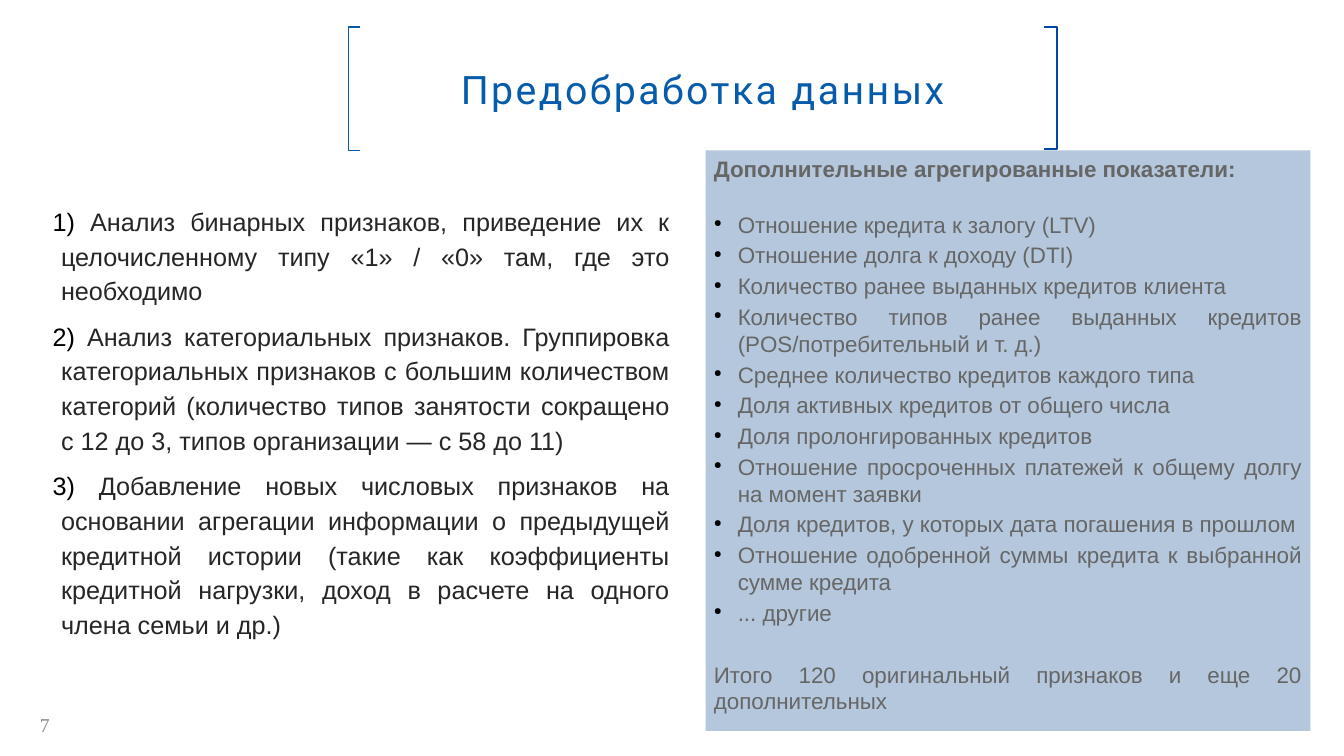
from dataclasses import dataclass

from lxml.etree import SubElement
from pptx import Presentation
from pptx.dml.color import RGBColor
from pptx.enum.text import MSO_ANCHOR as Anchor, PP_ALIGN as Align
from pptx.oxml.ns import qn
from pptx.util import Pt

BLUE, WHITE, BLACK = "065CAB", "FFFFFF", "000000"


@dataclass
class Face:
    name: str
    size: float
    color: str
    bold: bool = False


@dataclass
class Item:
    text: str
    mark: str = ""
    before: float = 0
    after: float = 0
    bold: bool = False


@dataclass
class Bracket:
    x: float
    arm: float
    top: float
    end: float
    color: str


def tint(color, code: str) -> None:
    color.rgb = RGBColor.from_string(code)


def fill(part, code: str) -> None:
    """Give a shape or a line a solid fill."""
    part.fill.solid()
    tint(part.fill.fore_color, code)


def style(para, face: Face) -> None:
    font = para.font
    font.name, font.size, font.bold = face.name, Pt(face.size), face.bold
    tint(font.color, face.color)


def add_mark(para, mark: str, hang: float) -> None:
    """Hang a black number ("1)") or a small black dot before the text."""
    props = para._p.get_or_add_pPr()
    props.set("marL", str(Pt(hang)))
    props.set("indent", str(-Pt(hang)))
    color = SubElement(props, qn("a:buClr"))
    SubElement(color, qn("a:srgbClr"), val=BLACK)
    if mark == "1)":
        SubElement(props, qn("a:buFont"), typeface="Arial")
        SubElement(props, qn("a:buAutoNum"), type="arabicParenR")
    else:
        SubElement(props, qn("a:buSzPct"), val="45000")
        SubElement(props, qn("a:buChar"), char=mark)


def add_box(slide, left: float, top: float, width: float, height: float,
            side: float, head: float):
    """Add a wrapping text box with side and top insets."""
    box = slide.shapes.add_textbox(Pt(left), Pt(top), Pt(width), Pt(height))
    frame = box.text_frame
    frame.word_wrap = True
    frame.margin_left = frame.margin_right = Pt(side)
    frame.margin_top = Pt(head)
    return box


def write(frame, items: list[Item], face: Face, hang: float,
          space: float = 1) -> None:
    for num, item in enumerate(items):
        para = frame.add_paragraph() if num else frame.paragraphs[0]
        para.text = item.text
        if item.mark:
            add_mark(para, item.mark, hang)
        para.alignment = Align.LEFT if item.bold else Align.JUSTIFY
        para.line_spacing = space
        para.space_before, para.space_after = Pt(item.before), Pt(item.after)
        style(para, Face(face.name, face.size, face.color, item.bold))


def add_bracket(slide, mark: Bracket) -> None:
    tip = mark.x + mark.arm
    pen = slide.shapes.build_freeform(Pt(tip), Pt(mark.top), 1.0)
    pen.add_line_segments(
        [(Pt(mark.x), Pt(mark.top)), (Pt(mark.x), Pt(mark.end)),
         (Pt(tip), Pt(mark.end))], close=False)
    shape = pen.convert_to_shape()
    shape.shadow.inherit = False
    shape.fill.background()
    fill(shape.line, mark.color)
    shape.line.width = Pt(1.3)


def add_title(slide, text: str) -> None:
    title = slide.shapes.title
    title.left, title.top = Pt(249), Pt(19.5)
    title.width, title.height = Pt(506), Pt(88)
    fill(title, WHITE)
    fill(title.line, WHITE)
    title.line.width = Pt(2)
    frame = title.text_frame
    frame.text = text
    frame.vertical_anchor = Anchor.MIDDLE
    para = frame.paragraphs[0]
    para.alignment = Align.CENTER
    style(para, Face("Roboto", 28, BLUE))
    para.runs[0]._r.get_or_add_rPr().set("spc", "180")


STEPS = [
    " Анализ бинарных признаков, приведение их к целочисленному типу "
    "«1» / «0» там, где это необходимо",
    " Анализ категориальных признаков. Группировка категориальных признаков "
    "с большим количеством категорий (количество типов занятости сокращено "
    "с 12 до 3, типов организации — с 58 до 11)",
    " Добавление новых числовых признаков на основании агрегации информации "
    "о предыдущей кредитной истории (такие как коэффициенты кредитной "
    "нагрузки, доход в расчете на одного члена семьи и др.)",
]
RATES = [
    "Отношение кредита к залогу (LTV)",
    "Отношение долга к доходу (DTI)",
    "Количество ранее выданных кредитов клиента",
    "Количество типов ранее выданных кредитов (POS/потребительный и т. д.)",
    "Среднее количество кредитов каждого типа",
    "Доля активных кредитов от общего числа",
    "Доля пролонгированных кредитов",
    "Отношение просроченных платежей к общему долгу на момент заявки",
    "Доля кредитов, у которых дата погашения в прошлом",
    "Отношение одобренной суммы кредита к выбранной сумме кредита",
    "... другие",
]
BRACKETS = [
    Bracket(249, 8.5, 19.5, 107.5, BLUE),
    Bracket(755, -9, 19.5, 106.5, "0046A2"),
]


def main() -> None:
    deck = Presentation()
    deck.slide_width, deck.slide_height = Pt(960), Pt(540)
    slide = deck.slides.add_slide(deck.slide_layouts[5])

    add_title(slide, "Предобработка данных")
    for mark in BRACKETS:
        add_bracket(slide, mark)

    left = add_box(slide, 30.5, 108, 455, 414, 7.2, 36)
    write(left.text_frame, [Item(step, "1)", after=7.5) for step in STEPS],
          Face("Arial", 18, "262626"), 6, 1.15)

    panel = add_box(slide, 504, 107.5, 432, 414.5, 6, 3)
    fill(panel, "B4C7DC")
    rows = [Item("Дополнительные агрегированные показатели:",
                 after=19.5, bold=True)]
    rows += [Item(rate, "●", 1.4, 1.4) for rate in RATES]
    rows.append(Item("Итого 120 оригинальный признаков и еще 20 "
                     "дополнительных", before=23.5))
    write(panel.text_frame, rows, Face("Arial", 16, "666666"), 17)

    page = add_box(slide, 21.5, 507, 44.5, 21.5, 7.2, 3.6)
    page.text_frame.vertical_anchor = Anchor.MIDDLE
    page.text_frame.text = "7"
    style(page.text_frame.paragraphs[0], Face("Times New Roman", 14, "898989"))

    deck.save("out.pptx")


if __name__ == "__main__":
    main()
